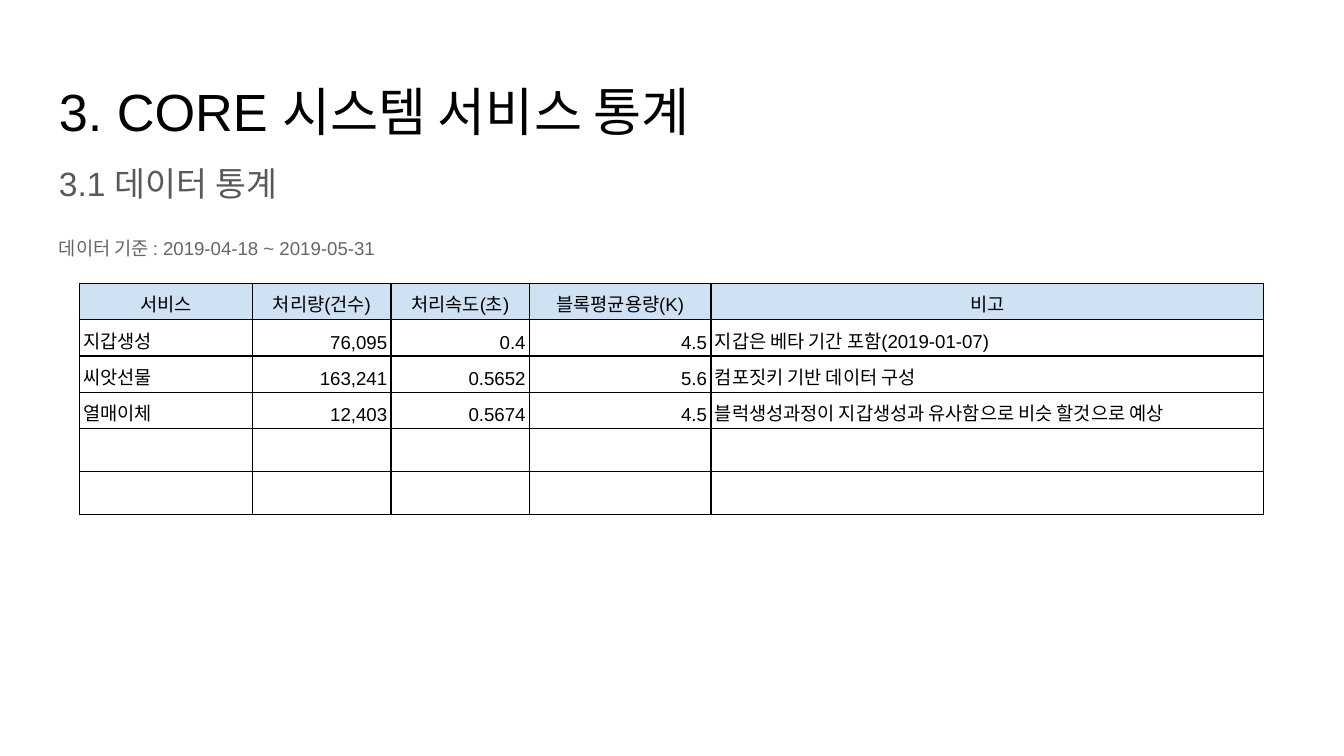
from lxml import etree
from pptx import Presentation
from pptx.dml.color import RGBColor
from pptx.enum.text import MSO_ANCHOR, PP_ALIGN
from pptx.oxml.ns import qn
from pptx.util import Inches, Pt

LEFT, CENTER, RIGHT = PP_ALIGN.LEFT, PP_ALIGN.CENTER, PP_ALIGN.RIGHT
TOP, BOTTOM = MSO_ANCHOR.TOP, MSO_ANCHOR.BOTTOM

THEME = {
    "font": "Arial",
    "title": (28, "000000"),
    "subtitle": (18, "595959"),
    "period": (10, "666666"),
    "cell": (10, "000000"),
    "header_fill": "CFE2F3",
    "border": "000000",
    "border_width": 0.75,
    "line_spacing": 1.15,
}

TITLE = "3. CORE 시스템 서비스 통계"
SUBTITLE = "3.1 데이터 통계"
PERIOD = "데이터 기준 : 2019-04-18 ~ 2019-05-31"

# heading, width, alignment of the values below it
COLUMNS = [
    ("서비스", 1.29, LEFT),
    ("처리량(건수)", 1.03, RIGHT),
    ("처리속도(초)", 1.03, RIGHT),
    ("블록평균용량(K)", 1.35, RIGHT),
    ("비고", 4.11, LEFT),
]
SERVICES = [
    ("지갑생성", "76,095", "0.4", "4.5", "지갑은 베타 기간 포함(2019-01-07)"),
    ("씨앗선물", "163,241", "0.5652", "5.6", "컴포짓키 기반 데이터 구성"),
    ("열매이체", "12,403", "0.5674", "4.5",
     "블럭생성과정이 지갑생성과 유사함으로 비슷 할것으로 예상"),
]
EMPTY_ROWS = 2
ROW_HEIGHT, EMPTY_ROW_HEIGHT = 0.27, 0.32
TABLE_LEFT, TABLE_TOP = 0.59, 2.11


def style(paragraph, role):
    size, color = THEME[role]
    for run in paragraph.runs:
        run.font.name = THEME["font"]
        run.font.size = Pt(size)
        run.font.color.rgb = RGBColor.from_string(color)


def add_text(slide, top, height, lines):
    """Add a full-width box; lines are (text, theme role, space before, line spacing)."""
    box = slide.shapes.add_textbox(Inches(0.34), Inches(top), Inches(9.32), Inches(height))
    frame = box.text_frame
    frame.word_wrap = True
    frame.vertical_anchor = TOP
    frame.margin_left = frame.margin_right = Inches(0.1)
    frame.margin_top = frame.margin_bottom = Inches(0.1)
    frame.text = "\n".join(line[0] for line in lines)
    for paragraph, (_, role, before, spacing) in zip(frame.paragraphs, lines):
        paragraph.space_before = Pt(before)
        paragraph.line_spacing = spacing
        style(paragraph, role)


def add_borders(cell):
    properties = cell._tc.get_or_add_tcPr()
    for index, side in enumerate(("a:lnL", "a:lnR", "a:lnT", "a:lnB")):
        line = etree.Element(qn(side), w=str(Pt(THEME["border_width"])))
        fill = etree.SubElement(line, qn("a:solidFill"))
        etree.SubElement(fill, qn("a:srgbClr"), val=THEME["border"])
        properties.insert(index, line)


def fill_cell(cell, text, alignment, is_header):
    cell.margin_left = cell.margin_right = Inches(0.03)
    cell.margin_top = cell.margin_bottom = Inches(0.02 if text else 0.01)
    cell.vertical_anchor = BOTTOM
    if is_header:
        cell.fill.solid()
        cell.fill.fore_color.rgb = RGBColor.from_string(THEME["header_fill"])
    else:
        cell.fill.background()
    add_borders(cell)
    if text:
        paragraph = cell.text_frame.paragraphs[0]
        paragraph.text = text
        paragraph.alignment = alignment
        paragraph.line_spacing = THEME["line_spacing"]
        style(paragraph, "cell")


def add_service_table(slide):
    headings, widths, alignments = zip(*COLUMNS)
    blank = ("",) * len(COLUMNS)
    rows = [headings, *SERVICES] + [blank] * EMPTY_ROWS
    heights = [ROW_HEIGHT if any(row) else EMPTY_ROW_HEIGHT for row in rows]
    table = slide.shapes.add_table(
        len(rows), len(COLUMNS), Inches(TABLE_LEFT), Inches(TABLE_TOP),
        Inches(sum(widths)), Inches(sum(heights))).table
    table.horz_banding = False
    table.first_row = False
    for column, width in zip(table.columns, widths):
        column.width = Inches(width)
    for r, (values, height) in enumerate(zip(rows, heights)):
        table.rows[r].height = Inches(height)
        for c, value in enumerate(values):
            is_header = r == 0
            fill_cell(table.cell(r, c), value, CENTER if is_header else alignments[c], is_header)


def main():
    presentation = Presentation()
    presentation.slide_width = Inches(10)
    presentation.slide_height = presentation.slide_width * 9 // 16
    slide = presentation.slides.add_slide(presentation.slide_layouts[6])
    spacing = THEME["line_spacing"]
    add_text(slide, 0.49, 0.63, [(TITLE, "title", 0, 1.0)])
    add_text(slide, 1.07, 4.47, [
        (SUBTITLE, "subtitle", 0, spacing),
        (PERIOD, "period", 16, spacing),
    ])
    add_service_table(slide)
    presentation.save("out.pptx")


if __name__ == "__main__":
    main()
